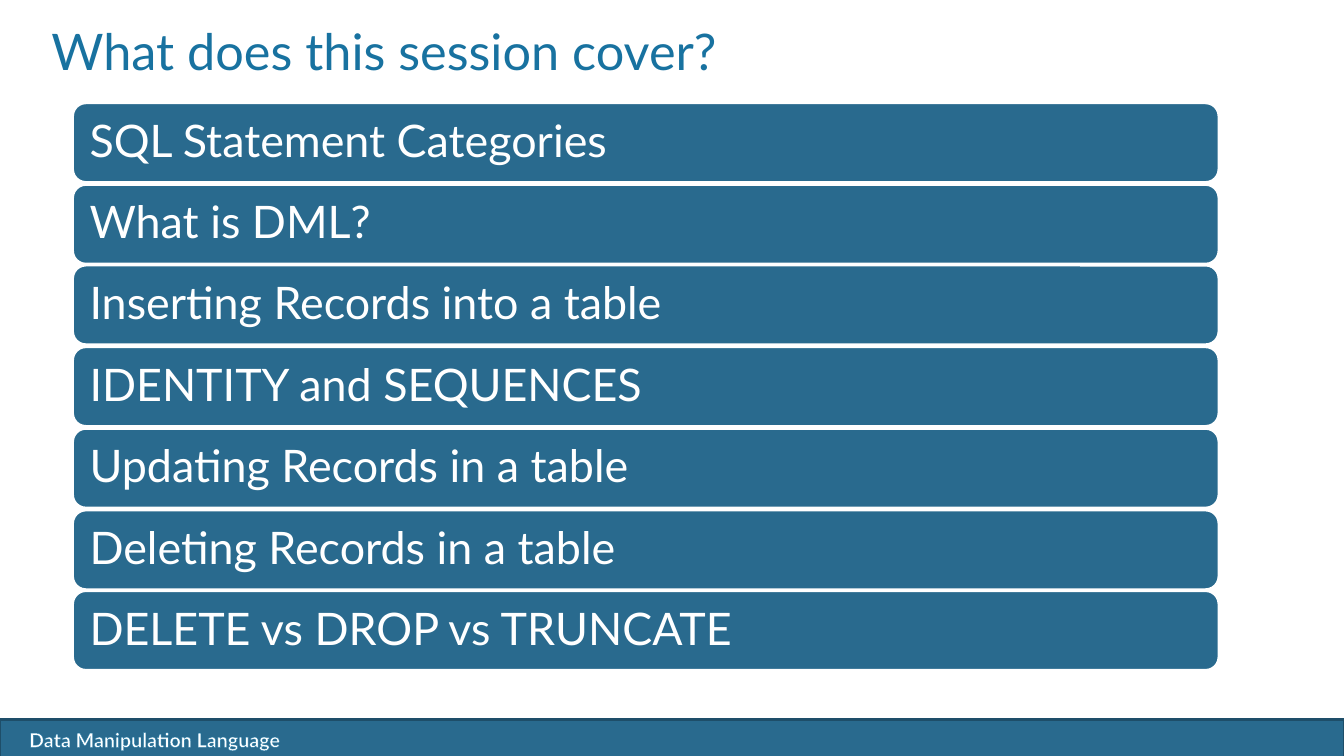
import dataclasses

import lxml.etree
import pptx
import pptx.dml.color
import pptx.enum.shapes
import pptx.enum.text
import pptx.oxml
import pptx.oxml.ns
import pptx.shapes.autoshape
import pptx.util

RGB = pptx.dml.color.RGBColor
SHAPE = pptx.enum.shapes.MSO_SHAPE
ANCHOR = pptx.enum.text.MSO_ANCHOR

WHITE = RGB(0xFF, 0xFF, 0xFF)
BLUE = RGB(0x18, 0x72, 0xA0)
STEEL = RGB(0x29, 0x6A, 0x8E)
NAVY = RGB(0x1E, 0x4E, 0x69)
FONT = "Lato"
SCALE = 9144  # EMU in one px, at 100 px to the inch
WIDTH, HEIGHT = 1333, 750

TOPICS = (
    "SQL Statement Categories",
    "What is DML?",
    "Inserting Records into a table",
    "IDENTITY and SEQUENCES",
    "Updating Records in a table",
    "Deleting Records in a table",
    "DELETE vs DROP vs TRUNCATE",
)
LIST_TOP, LIST_SPAN = 102, 565  # span covers all bars and the gap after each


@dataclasses.dataclass(frozen=True)
class Box:
    left: int
    top: int
    width: int
    height: int

    def emu(self) -> list[pptx.util.Emu]:
        return [pptx.util.Emu(n * SCALE) for n in dataclasses.astuple(self)]


def write(shape, text: str, *, size: int, color: RGB, bold: bool = False,
          anchor: ANCHOR = ANCHOR.TOP, inset: tuple[int, int] = (10, 5),
          spacing: float | pptx.util.Pt | None = None):
    """Set one left-aligned line of text and return its run."""
    frame = shape.text_frame
    frame.word_wrap = True
    frame.auto_size = pptx.enum.text.MSO_AUTO_SIZE.NONE
    frame.vertical_anchor = anchor
    frame.margin_left = frame.margin_right = inset[0] * SCALE
    frame.margin_top = frame.margin_bottom = inset[1] * SCALE
    line = frame.paragraphs[0]
    line.alignment = pptx.enum.text.PP_ALIGN.LEFT
    if spacing is not None:
        line.line_spacing = spacing
    run = line.add_run()
    run.text = text
    run.font.name = FONT
    run.font.size = pptx.util.Pt(size)
    run.font.bold = bold
    run.font.color.rgb = color
    return run


def outline(run, color: RGB, points: float) -> None:
    """Draw a thin line around the letters of a run."""
    edge = pptx.oxml.parse_xml(
        f'<a:ln {pptx.oxml.ns.nsdecls("a")} w="{pptx.util.Pt(points)}">'
        f'<a:solidFill><a:srgbClr val="{color}"/></a:solidFill></a:ln>')
    run.font.fill.solid()
    run.font.color.rgb = WHITE
    run.font._element.insert(0, edge)


def panel(slide, kind: SHAPE, box: Box, line: RGB) -> pptx.shapes.autoshape.Shape:
    shape = slide.shapes.add_shape(kind, *box.emu())
    shape.shadow.inherit = False
    shape.fill.solid()
    shape.fill.fore_color.rgb = STEEL
    shape.line.color.rgb = line
    shape.line.width = pptx.util.Pt(2)
    return shape


def footer(slide) -> None:
    panel(slide, SHAPE.RECTANGLE, Box(0, 714, WIDTH, 40), NAVY)
    label = slide.shapes.add_textbox(*Box(19, 717, 606, 34).emu())
    run = write(label, "Data Manipulation Language", size=14, color=WHITE, bold=True)
    outline(run, BLUE, 0.8)


def heading(slide) -> None:
    title = slide.shapes.title
    title.left, title.top, title.width, title.height = Box(41, 26, 1200, 125).emu()
    write(title, "What does this session cover?", size=36, color=BLUE,
          spacing=pptx.util.Pt(35))


def agenda(slide) -> None:
    for row, topic in enumerate(TOPICS):
        top = LIST_TOP + round(row * LIST_SPAN / len(TOPICS))
        bar = panel(slide, SHAPE.ROUNDED_RECTANGLE, Box(72, top, 1137, 79), WHITE)
        write(bar, topic, size=32, color=WHITE, anchor=ANCHOR.MIDDLE,
              inset=(13, 13), spacing=0.9)


def main() -> None:
    deck = pptx.Presentation()
    deck.slide_width = pptx.util.Emu(WIDTH * SCALE)
    deck.slide_height = pptx.util.Emu(HEIGHT * SCALE)
    slide = deck.slides.add_slide(deck.slide_layouts.get_by_name("Title Only"))
    footer(slide)
    heading(slide)
    agenda(slide)
    deck.save("out.pptx")


if __name__ == "__main__":
    main()
